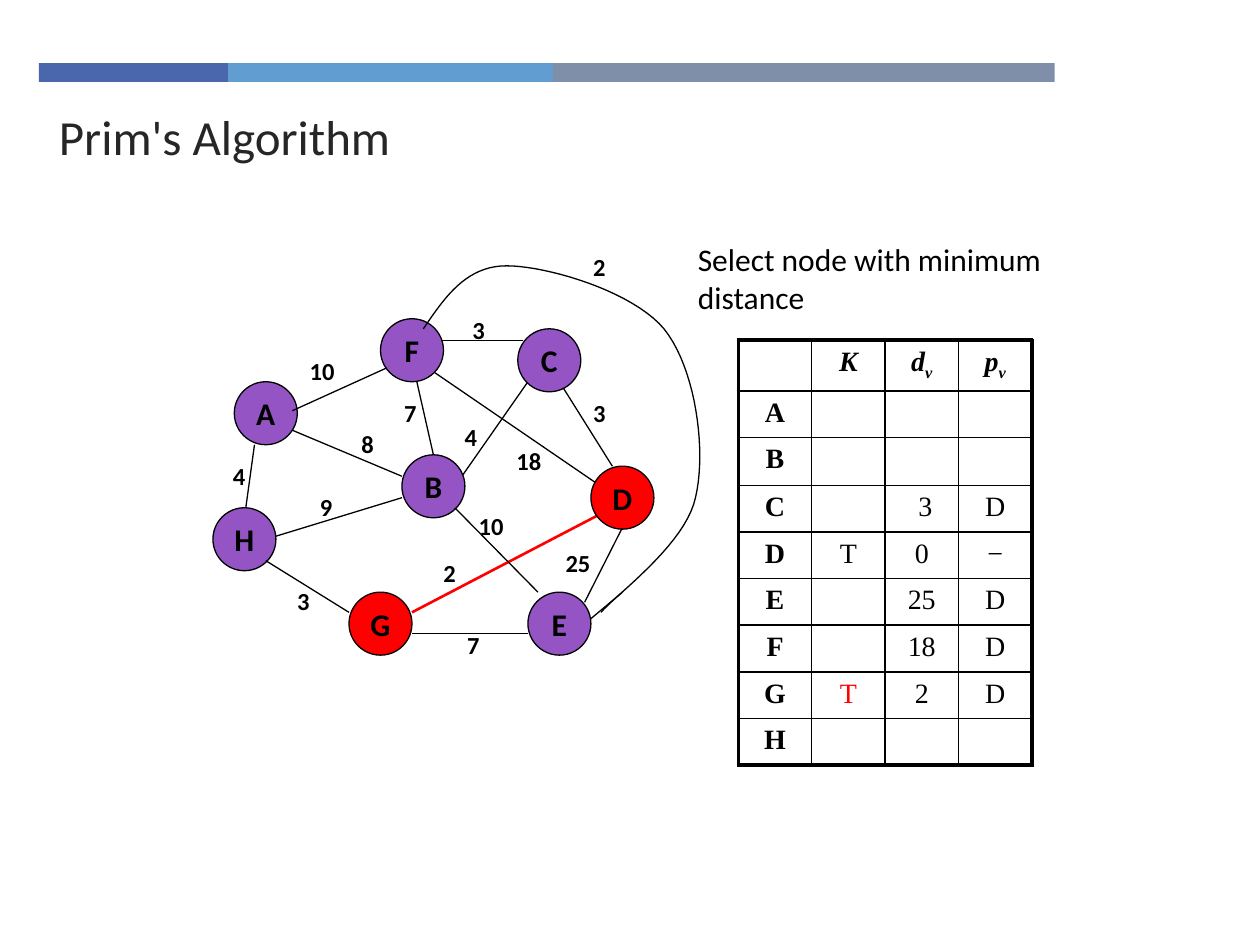
from typing import NamedTuple

from lxml import etree
from pptx import Presentation
from pptx.dml.color import RGBColor
from pptx.enum.shapes import MSO_CONNECTOR, MSO_SHAPE
from pptx.enum.text import MSO_ANCHOR as Anchor, PP_ALIGN as Align
from pptx.oxml.ns import qn
from pptx.util import Inches, Pt

BLACK, RED, PURPLE = "000000", "FF0000", "9454C3"
SERIF = "Times New Roman"
NODE_SIZE = 0.5
THIN, THICK = 1, 2.25


class Node(NamedTuple):
    name: str
    x: float
    y: float
    color: str = PURPLE


class Edge(NamedTuple):
    x1: float
    y1: float
    x2: float
    y2: float
    color: str = BLACK
    width: float = 0.75


class Label(NamedTuple):
    text: str
    x: float
    y: float


BARS = [(0.31, 1.5, "4A66AC"), (1.81, 2.58, "629DD1"), (4.39, 3.98, "7F8FA9")]
NODES = [
    Node("A", 1.86, 3.03), Node("H", 1.69, 4.03), Node("B", 3.19, 3.61),
    Node("F", 3.02, 2.53), Node("E", 4.19, 4.7), Node("D", 4.69, 3.7, RED),
    Node("C", 4.11, 2.61), Node("G", 2.77, 4.7, RED),
]
EDGES_BEHIND = [
    Edge(5.06, 3.95, 4.64, 4.78), Edge(3.27, 2.86, 3.44, 3.61),
    Edge(3.61, 3.86, 4.19, 3.03), Edge(4.77, 3.86, 3.44, 2.95),
    Edge(2.11, 4.28, 3.19, 3.95), Edge(3.27, 4.86, 4.86, 4.03, RED, 1.5),
    Edge(1.94, 4.11, 2.02, 3.53), Edge(2.19, 3.36, 3.19, 3.78),
    Edge(3.49, 2.7, 4.15, 2.7), Edge(4.44, 3.03, 4.86, 3.7),
]
EDGES_FRONT = [
    Edge(3.61, 4.03, 4.27, 4.7), Edge(4.19, 5.03, 3.27, 5.03),
    Edge(2.77, 4.86, 2.11, 4.45), Edge(2.32, 3.26, 3.07, 2.92),
    Edge(4.94, 4.7, 4.69, 4.91),
]
LABELS = [
    Label("4", 1.75, 3.61), Label("25", 4.39, 4.3), Label("7", 3.61, 4.95),
    Label("2", 3.42, 4.38), Label("10", 3.7, 4.01), Label("18", 4, 3.49),
    Label("3", 4.61, 3.11), Label("4", 3.59, 3.3), Label("3", 3.65, 2.45),
    Label("7", 3.11, 3.11), Label("8", 2.77, 3.36), Label("9", 2.44, 3.86),
    Label("3", 2.26, 4.6), Label("10", 2.36, 2.78), Label("2", 4.61, 1.95),
]
# Each curve piece: two control points and an end point
CURVE_START = (3.36, 2.61)
CURVE = [
    ((3.53, 2.36), (3.7, 2.11), (4.02, 2.11)),
    ((4.34, 2.11), (5.02, 2.31), (5.27, 2.61)),
    ((5.52, 2.92), (5.61, 3.57), (5.52, 3.95)),
    ((5.44, 4.32), (4.9, 4.71), (4.77, 4.86)),
]
# A header cell may hold a letter and its subscript
HEADER = ["", "K", "dv", "pv"]
ROWS = [
    ["A", "", "", ""], ["B", "", "", ""], ["C", "", " 3", "D"],
    ["D", "T", "0", "−"], ["E", "", "25", "D"], ["F", "", "18", "D"],
    ["G", "T", "2", "D"], ["H", "", "", ""],
]
ROW_HEIGHTS = [0.39, 0.37, 0.38] + [0.37] * 6
NEW_CELL = (7, 1)


def rgb(color: str) -> RGBColor:
    return RGBColor.from_string(color)


def add_run(p, text: str, *, size: float, color: str = BLACK, font: str = "Calibri",
            bold: bool = False, italic: bool = False, baseline: int = 0) -> None:
    r = p.add_run()
    r.text = text
    f = r.font
    f.name, f.size, f.bold, f.italic = font, Pt(size), bold, italic
    f.color.rgb = rgb(color)
    if baseline:
        r._r.get_or_add_rPr().set("baseline", str(baseline * 1000))


def add_text(s, text: str, x: float, y: float, w: float, h: float, **fmt) -> None:
    tf = s.shapes.add_textbox(Inches(x), Inches(y), Inches(w), Inches(h)).text_frame
    tf.word_wrap = True
    add_run(tf.paragraphs[0], text, **fmt)


def add_bar(s, x: float, w: float, color: str) -> None:
    sp = s.shapes.add_shape(MSO_SHAPE.RECTANGLE, Inches(x), Inches(0.5), Inches(w), Inches(0.15))
    sp.shadow.inherit = False
    sp.fill.solid()
    sp.fill.fore_color.rgb = rgb(color)
    sp.line.fill.background()


def add_node(s, node: Node) -> None:
    sp = s.shapes.add_shape(MSO_SHAPE.OVAL, Inches(node.x), Inches(node.y),
                            Inches(NODE_SIZE), Inches(NODE_SIZE))
    sp.shadow.inherit = False
    sp.fill.solid()
    sp.fill.fore_color.rgb = rgb(node.color)
    sp.line.color.rgb = rgb(BLACK)
    sp.line.width = Pt(0.75)
    tf = sp.text_frame
    tf.word_wrap = False
    tf.vertical_anchor = Anchor.MIDDLE
    tf.paragraphs[0].alignment = Align.CENTER
    add_run(tf.paragraphs[0], node.name, size=18, bold=True)


def add_edge(s, e: Edge) -> None:
    line = s.shapes.add_connector(MSO_CONNECTOR.STRAIGHT, Inches(e.x1), Inches(e.y1),
                                  Inches(e.x2), Inches(e.y2))
    line.line.color.rgb = rgb(e.color)
    line.line.width = Pt(e.width)
    etree.SubElement(line._element.spPr, qn("a:effectLst"))


def bezier(p0, p1, p2, p3, steps: int = 20) -> list[tuple[int, int]]:
    def at(t: float, axis: int) -> int:
        u = 1 - t
        return Inches(u**3 * p0[axis] + 3 * u * u * t * p1[axis]
                      + 3 * u * t * t * p2[axis] + t**3 * p3[axis])
    return [(at(i / steps, 0), at(i / steps, 1)) for i in range(1, steps + 1)]


def add_curve(s) -> None:
    points, start = [], CURVE_START
    for c1, c2, end in CURVE:
        points += bezier(start, c1, c2, end)
        start = end
    x, y = CURVE_START
    builder = s.shapes.build_freeform(Inches(x), Inches(y))
    builder.add_line_segments(points, close=False)
    sp = builder.convert_to_shape()
    sp.shadow.inherit = False
    sp.fill.background()
    sp.line.color.rgb = rgb(BLACK)
    sp.line.width = Pt(0.75)


def set_borders(cell, **widths: float) -> None:
    tc_pr = cell._tc.get_or_add_tcPr()
    for side, width in widths.items():
        ln = etree.SubElement(tc_pr, qn(f"a:ln{side}"), w=str(Pt(width)))
        fill = etree.SubElement(ln, qn("a:solidFill"))
        etree.SubElement(fill, qn("a:srgbClr"), val=BLACK)


def add_distance_table(s) -> None:
    data = [HEADER] + ROWS
    last_row, last_col = len(data) - 1, len(HEADER) - 1
    table = s.shapes.add_table(len(data), len(HEADER), Inches(5.86), Inches(2.7),
                               Inches(2.33), Inches(sum(ROW_HEIGHTS))).table
    table.first_row = table.horz_banding = False
    for col in table.columns:
        col.width = Inches(2.33 / len(HEADER))
    for i, values in enumerate(data):
        table.rows[i].height = Inches(ROW_HEIGHTS[i])
        for j, text in enumerate(values):
            cell = table.cell(i, j)
            set_borders(cell, L=THIN if j else THICK, R=THICK if j == last_col else THIN,
                        T=THIN if i else THICK, B=THICK if i == last_row else THIN)
            cell.fill.background()
            p = cell.text_frame.paragraphs[0]
            p.alignment = Align.CENTER
            fmt = dict(size=16, font=SERIF, bold=i == 0 or j == 0, italic=i == 0,
                       color=RED if (i, j) == NEW_CELL else BLACK)
            if not text:
                etree.SubElement(p._p, qn("a:endParaRPr"), sz="1600")
            elif i == 0:
                add_run(p, text[0], **fmt)
                if text[1:]:
                    add_run(p, text[1:], baseline=-25, **fmt)
            else:
                add_run(p, text, **fmt)


def main() -> None:
    prs = Presentation()
    prs.slide_width, prs.slide_height = Inches(10), Inches(7.5)
    s = prs.slides.add_slide(prs.slide_layouts[6])

    # Header
    for bar in BARS:
        add_bar(s, *bar)
    add_text(s, "Prim's Algorithm", 0.37, 0.8, 7.16, 0.54, size=28, color="262626")

    # Weighted graph
    for edge in EDGES_BEHIND:
        add_edge(s, edge)
    for node in NODES:
        add_node(s, node)
    for edge in EDGES_FRONT:
        add_edge(s, edge)
    add_curve(s)
    for text, x, y in LABELS:
        add_text(s, text, x, y, 0.33 if len(text) == 1 else 0.52, 0.33, size=14, bold=True)

    # Current step and distances
    add_text(s, "Select node with minimum distance", 5.44, 1.86, 3.17, 0.77, size=18)
    add_distance_table(s)
    prs.save("out.pptx")


if __name__ == "__main__":
    main()
